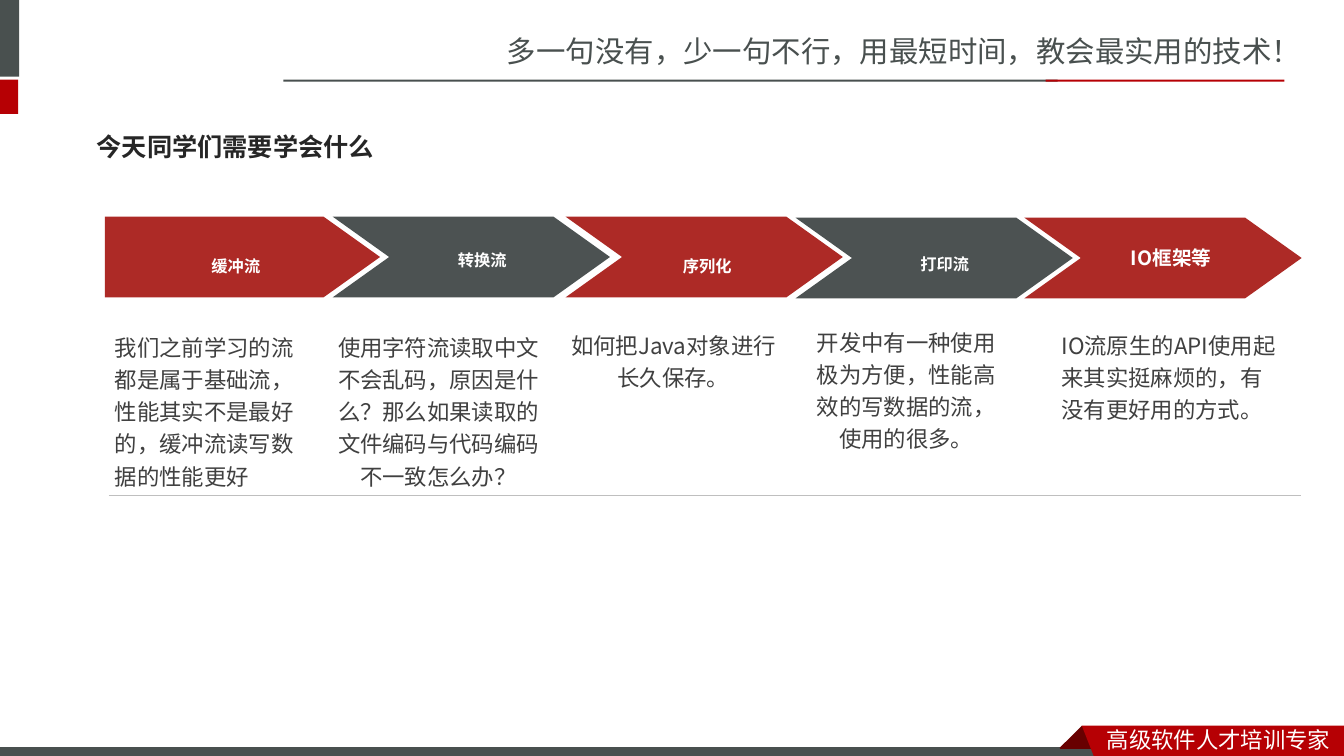
from lxml.etree import SubElement
from pptx import Presentation
from pptx.dml.color import RGBColor
from pptx.enum.shapes import MSO_CONNECTOR, MSO_SHAPE
from pptx.enum.text import MSO_ANCHOR, MSO_AUTO_SIZE, PP_ALIGN
from pptx.oxml.ns import qn
from pptx.util import Inches, Pt

GRAY = RGBColor(0x49, 0x50, 0x4F)
RED = RGBColor(0xB6, 0x00, 0x04)
DARK_RED = RGBColor(0x68, 0x00, 0x00)
STEP_RED = RGBColor(0xAD, 0x2A, 0x26)
STEP_GRAY = RGBColor(0x4C, 0x52, 0x52)
WHITE = RGBColor(0xFF, 0xFF, 0xFF)
BODY = RGBColor(0x40, 0x40, 0x40)
TITLE = RGBColor(0x26, 0x26, 0x26)
RULE = RGBColor(0xBF, 0xBF, 0xBF)
SC, JP, MONO = "Noto Sans CJK SC", "Noto Sans CJK JP", "Noto Sans Mono"

prs = Presentation()
prs.slide_width, prs.slide_height = Inches(13.33), Inches(7.5)
s = prs.slides.add_slide(prs.slide_layouts[6])


def add_text(text, box, size, font, color, bold=False, center=False, middle=False,
             spacing=None, baseline=None, grow=True):
    tf = s.shapes.add_textbox(*[Inches(v) for v in box]).text_frame
    tf.word_wrap = True
    tf.auto_size = MSO_AUTO_SIZE.SHAPE_TO_FIT_TEXT if grow else MSO_AUTO_SIZE.NONE
    tf.vertical_anchor = MSO_ANCHOR.MIDDLE if middle else MSO_ANCHOR.TOP
    p = tf.paragraphs[0]
    p.alignment = PP_ALIGN.CENTER if center else PP_ALIGN.LEFT
    if spacing:
        p.line_spacing = spacing
    r = p.add_run()
    r.text = text
    r.font.size, r.font.bold, r.font.name = Pt(size), bold, font
    r.font.color.rgb = color
    rPr = r.font._element
    SubElement(rPr, qn("a:ea")).set("typeface", font)
    if baseline:
        rPr.set("baseline", str(baseline))


def add_outline(points, color):
    pts = [(Inches(x), Inches(y)) for x, y in points]
    fb = s.shapes.build_freeform(*pts[0], scale=1.0)
    fb.add_line_segments(pts[1:], close=True)
    sp = fb.convert_to_shape()
    sp.shadow.inherit = False
    sp.fill.solid()
    sp.fill.fore_color.rgb = color
    sp.line.fill.background()


# Header and footer bars
for box, color, edge in [
    ((-0.06, 0, 0.25, 0.76), GRAY, None),
    ((-0.06, 0.79, 0.24, 0.34), RED, None),
    ((2.81, 0.79, 7.68, 0.02), GRAY, None),
    ((10.37, 0.79, 2.37, 0.02), RED, None),
    ((-0.01, 7.41, 11, 0.12), GRAY, WHITE),
]:
    sp = s.shapes.add_shape(MSO_SHAPE.RECTANGLE, *[Inches(v) for v in box])
    sp.shadow.inherit = False
    sp.fill.solid()
    sp.fill.fore_color.rgb = color
    if edge is None:
        sp.line.fill.background()
    else:
        sp.line.color.rgb = edge
        sp.line.width = Pt(0.75)

# Header slogan and footer ribbon
add_text("多一句没有，少一句不行，用最短时间，教会最实用的技术！",
         (4.93, 0.28, 8.41, 0.47), 21, SC, GRAY)
add_outline([(10.73, 7.2), (10.95, 7.42), (10.94, 7.43), (10.52, 7.43), (10.51, 7.42)], DARK_RED)
add_outline([(10.73, 7.2), (13.33, 7.2), (13.33, 7.54), (10.86, 7.53)], RED)
add_text("高级软件人才培训专家", (10.88, 7.15, 2.45, 0.37), 16, SC, WHITE)

# Title
add_text("今天同学们需要学会什么", (0.86, 1.17, 4.08, 0.57), 18, MONO, TITLE,
         bold=True, middle=True, grow=False)

# Row of arrows: left, top, width
arrows = [(1.04, 2.15, 2.73), (3.3, 2.15, 2.75), (5.61, 2.15, 2.75),
          (7.89, 2.16, 2.75), (10.16, 2.16, 2.75)]
HEIGHT, TIP = 0.8, 0.56
for i, (x, y, w) in enumerate(arrows):
    points = [(x, y), (x + w - TIP, y), (x + w, y + HEIGHT / 2),
              (x + w - TIP, y + HEIGHT), (x, y + HEIGHT)]
    if i > 0:
        points.append((x + TIP, y + HEIGHT / 2))
    add_outline(points, STEP_GRAY if i % 2 else STEP_RED)

# Arrow labels
for text, box, size, spacing, baseline in [
    ("缓冲流", (1.03, 2.37, 2.62, 0.36), 20, 1.2, -3000),
    ("转换流", (3.62, 2.36, 2.33, 0.33), 20, None, -3000),
    ("序列化", (5.28, 2.37, 3.47, 0.36), 20, 1.2, -3000),
    ("打印流", (8.31, 2.4, 2.12, 0.33), 20, None, -3000),
    ("IO框架等", (10.45, 2.35, 2.33, 0.37), 14, 1.2, None),
]:
    add_text(text, box, size, JP, WHITE, bold=True, center=True, middle=True,
             spacing=spacing, baseline=baseline)

# Descriptions
for text, box, center in [
    ("我们之前学习的流都是属于基础流，性能其实不是最好的，缓冲流读写数据的性能更好",
     (1.04, 3.21, 2.12, 1.7), False),
    ("使用字符流读取中文不会乱码，原因是什么？那么如果读取的文件编码与代码编码不一致怎么办？",
     (3.2, 3.21, 2.3, 1.7), True),
    ("如何把Java对象进行长久保存。", (5.53, 3.19, 2.3, 0.73), True),
    ("开发中有一种使用极为方便，性能高效的写数据的流，使用的很多。",
     (7.96, 3.16, 2.06, 1.38), True),
    ("IO流原生的API使用起来其实挺麻烦的，有没有更好用的方式。",
     (10.43, 3.19, 2.35, 1.05), False),
]:
    add_text(text, box, 16, JP, BODY, center=center, spacing=1.2)

# Closing rule
line = s.shapes.add_connector(MSO_CONNECTOR.STRAIGHT, Inches(1.08), Inches(4.91),
                              Inches(12.9), Inches(4.91))
line.line.color.rgb = RULE
line.line.width = Pt(0.25)
SubElement(line._element.spPr, qn("a:effectLst"))

prs.save("out.pptx")
